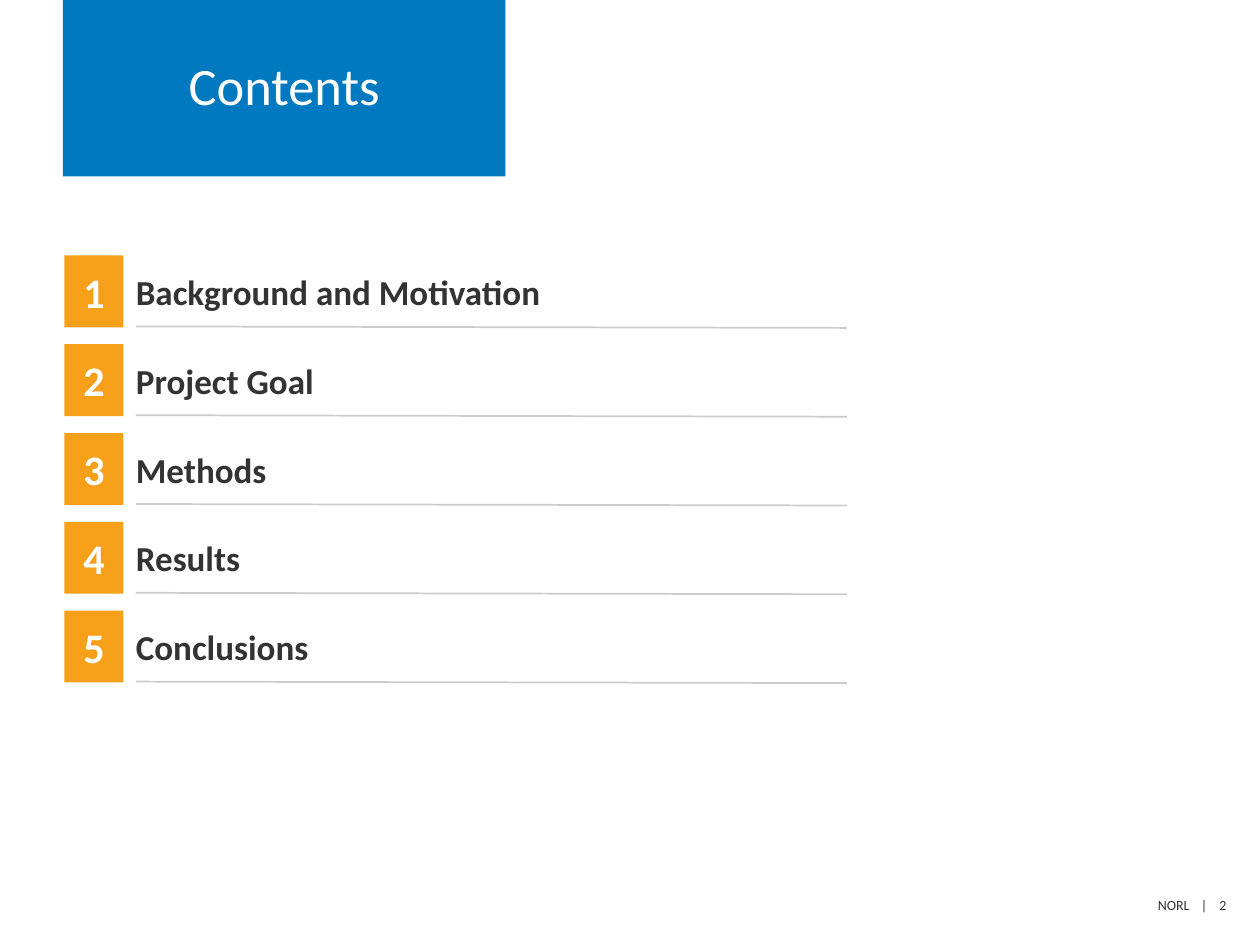
import pptx
import pptx.util
import pptx.dml.color
import pptx.enum.shapes
import pptx.enum.text
import pptx.oxml.ns
from lxml import etree

Cm, Pt = pptx.util.Cm, pptx.util.Pt
RGBColor = pptx.dml.color.RGBColor
MSO_ANCHOR = pptx.enum.text.MSO_ANCHOR
PP_ALIGN = pptx.enum.text.PP_ALIGN
qn = pptx.oxml.ns.qn

BLUE = RGBColor(0x00, 0x79, 0xC1)
ORANGE = RGBColor(0xF6, 0xA0, 0x1A)
WHITE = RGBColor(0xFF, 0xFF, 0xFF)
DARK = RGBColor(0x33, 0x33, 0x33)
GRAY = RGBColor(0xCC, 0xCC, 0xCC)

TOPICS = ["Background and Motivation", "Project Goal", "Methods",
          "Results", "Conclusions"]


def set_text(sp, text, size, color, bold=False, align=PP_ALIGN.LEFT, inset=0):
    tf = sp.text_frame
    tf.word_wrap = True
    tf.vertical_anchor = MSO_ANCHOR.MIDDLE
    tf.margin_left = tf.margin_right = Cm(inset)
    tf.margin_top = tf.margin_bottom = 0
    p = tf.paragraphs[0]
    p.text = text
    p.alignment = align
    p.font.name = "Calibri"
    p.font.size = Pt(size)
    p.font.bold = bold
    p.font.color.rgb = color
    return p


def add_block(s, x, y, w, h, fill):
    sp = s.shapes.add_shape(pptx.enum.shapes.MSO_SHAPE.RECTANGLE,
                            Cm(x), Cm(y), Cm(w), Cm(h))
    sp.shadow.inherit = False
    sp.fill.solid()
    sp.fill.fore_color.rgb = fill
    sp.line.fill.background()
    return sp


def add_title(s, x, y, w, h):
    sp = add_block(s, x, y, w, h, BLUE)
    p = set_text(sp, "Contents", 30, WHITE, align=PP_ALIGN.CENTER, inset=0.76)
    p.line_spacing = 0.9


def add_topic(s, x, y, w, h, number, topic):
    # Number tile
    tile_w, gap = 1.19, 0.25
    tile = add_block(s, x, y, tile_w, h, ORANGE)
    set_text(tile, str(number), 24, WHITE, bold=True, align=PP_ALIGN.CENTER)

    # Topic
    text_x = x + tile_w + gap
    box = s.shapes.add_textbox(Cm(text_x), Cm(y), Cm(x + w - text_x), Cm(h))
    set_text(box, topic, 20, DARK, bold=True)

    # Slightly sloping rule under the topic
    rule = s.shapes.add_connector(
        pptx.enum.shapes.MSO_CONNECTOR.STRAIGHT,
        Cm(text_x), Cm(y + h - 0.02), Cm(x + w), Cm(y + h + 0.01))
    rule.line.color.rgb = GRAY
    rule.line.width = Pt(1)
    etree.SubElement(rule._element.spPr, qn("a:effectLst"))


def add_contents(s, x, y, w, row_h, pitch):
    for i, topic in enumerate(TOPICS):
        add_topic(s, x, y + i * pitch, w, row_h, i + 1, topic)


def add_footer(s, x, y, w, h):
    box = s.shapes.add_textbox(Cm(x), Cm(y), Cm(w), Cm(h))
    p = set_text(box, "", 8, DARK)
    # Tab stops for the divider and the page number
    pPr = p._p.get_or_add_pPr()
    tabs = etree.Element(qn("a:tabLst"))
    for pos in (0.87, 1.24):
        etree.SubElement(tabs, qn("a:tab"), pos=str(Cm(pos)), algn="l")
    pPr.insert(0, tabs)
    p.text = "NORL\t|\t2"


def main():
    prs = pptx.Presentation()
    prs.slide_width, prs.slide_height = Cm(25.4), Cm(19.05)
    s = prs.slides.add_slide(prs.slide_layouts[6])
    add_footer(s, 23.34, 17.93, 1.62, 0.61)
    add_contents(s, 1.3, 5.15, 15.77, 1.45, 1.79)
    add_title(s, 1.27, 0, 8.92, 3.56)
    prs.save("out.pptx")


if __name__ == "__main__":
    main()
